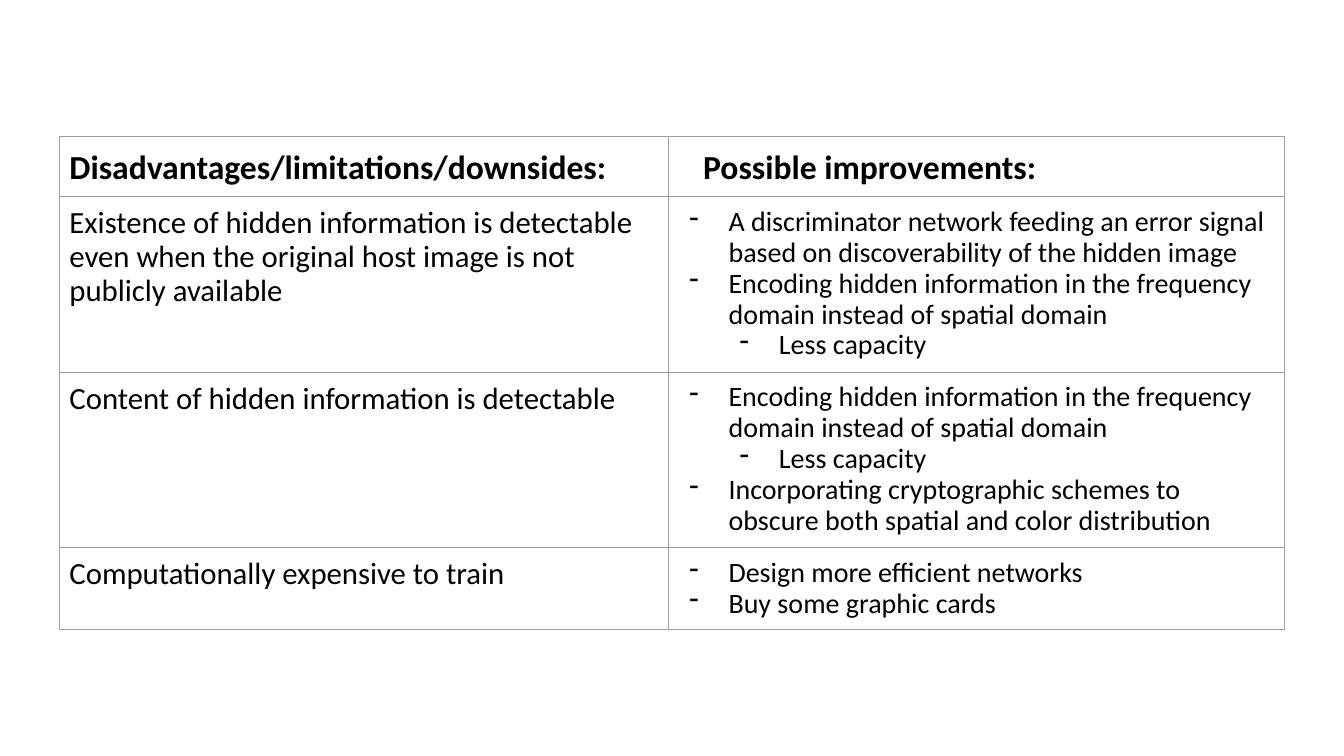
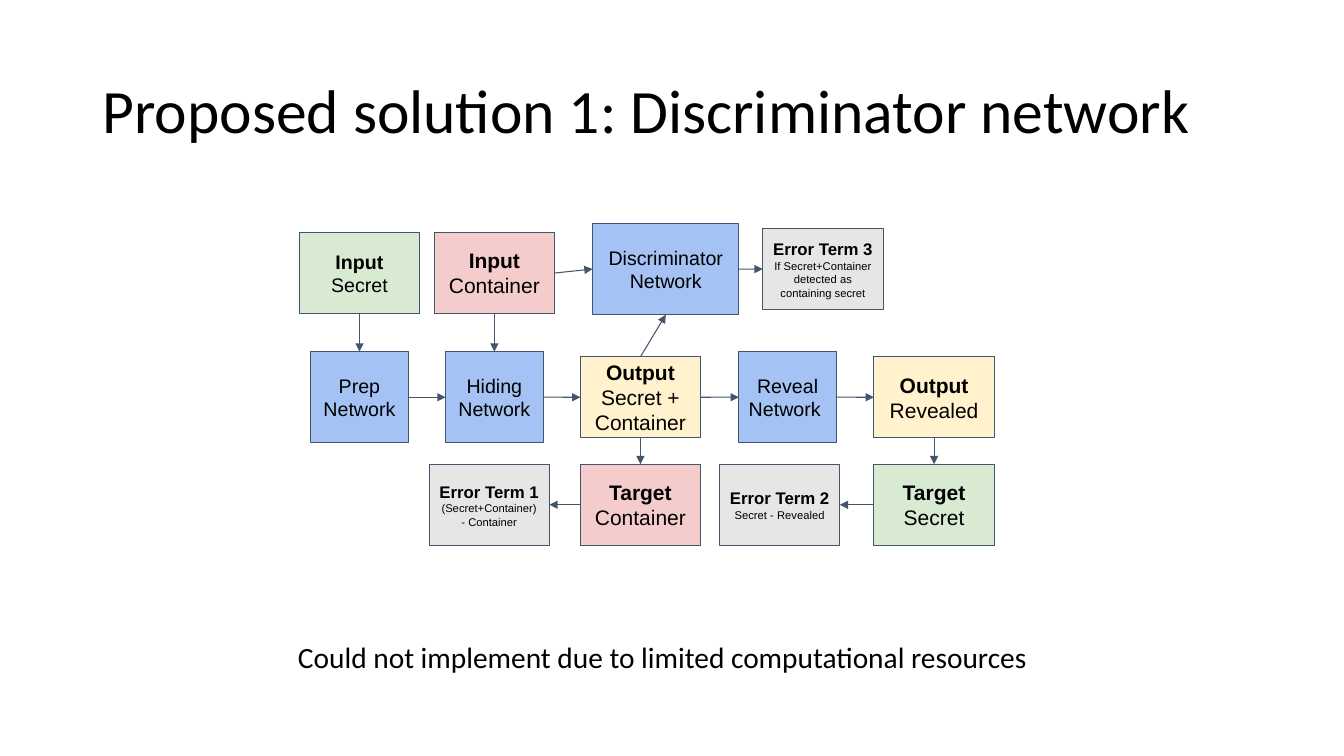
from lxml.etree import SubElement
from pptx import Presentation
from pptx.dml.color import RGBColor
from pptx.enum.shapes import MSO_CONNECTOR, MSO_SHAPE
from pptx.enum.text import MSO_ANCHOR, MSO_AUTO_SIZE, PP_ALIGN
from pptx.oxml.ns import qn
from pptx.util import Cm, Pt

COLORS = {
    "text": "000000",
    "border": "9E9E9E",
    "outline": "44546A",
    "secret": "D9EAD3",
    "container": "F4CCCC",
    "network": "A4C2F4",
    "output": "FFF2CC",
    "error": "E7E6E6",
}
BODY_FONT, DIAGRAM_FONT = "Calibri", "Arial"
INSET = Cm(0.25)
LINE_WIDTH = Pt(0.75)
TITLE_ONLY, BLANK = 5, 6
TOP, LEFT, BOTTOM, RIGHT = range(4)  # connection sites of a rectangle

# Table content: the left text, then (level, text) for each improvement
ROWS = [
    (4.42, "Existence of hidden information is detectable even when the original "
           "host image is not publicly available",
     [(0, "A discriminator network feeding an error signal based on "
          "discoverability of the hidden image"),
      (0, "Encoding hidden information in the frequency domain instead of spatial domain"),
      (1, "Less capacity")]),
    (4.42, "Content of hidden information is detectable",
     [(0, "Encoding hidden information in the frequency domain instead of spatial domain"),
      (1, "Less capacity"),
      (0, "Incorporating cryptographic schemes to obscure both spatial and color distribution")]),
    (2.05, "Computationally expensive to train",
     [(0, "Design more efficient networks"), (0, "Buy some graphic cards")]),
]

# Diagram grid: centres of columns and rows, in cm
SECRET_X, HOST_X, OUTPUT_X, REVEAL_X, REVEALED_X = 9.06, 12.46, 16.14, 19.85, 23.54
INPUT_Y, DISCRIMINATOR_Y, NETWORK_Y, TARGET_Y = 6.88, 6.78, 10.01, 12.72
DATA_SIZE, NETWORK_SIZE, WIDE_SIZE = (3.03, 2.04), (2.46, 2.3), (3.69, 2.3)

# name: (centre x, centre y, size, colour, paragraphs of (text, points, bold) runs)
BOXES = {
    "secret": (SECRET_X, INPUT_Y, DATA_SIZE, "secret",
               [[("Input", 14, True)], [("Secret", 14, False)]]),
    "host": (HOST_X, INPUT_Y, DATA_SIZE, "container",
             [[("Input", 15, True)], [("Container", 15, False)]]),
    "prep": (SECRET_X, NETWORK_Y, NETWORK_SIZE, "network",
             [[("Prep Network", 14, False)]]),
    "hiding": (HOST_X, NETWORK_Y, NETWORK_SIZE, "network",
               [[("Hiding Network", 14, False)]]),
    "output": (OUTPUT_X, NETWORK_Y, DATA_SIZE, "output",
               [[("Output ", 15, True), ("Secret + Container", 15, False)]]),
    "target host": (OUTPUT_X, TARGET_Y, DATA_SIZE, "container",
                    [[("Target", 15, True)], [("Container", 15, False)]]),
    "error 1": (12.33, TARGET_Y, DATA_SIZE, "error",
                [[("Error Term 1", 12, True)],
                 [("(Secret+Container) - Container", 8, False)]]),
    "reveal": (REVEAL_X, NETWORK_Y, NETWORK_SIZE, "network",
               [[("Reveal", 14, False)], [("Network", 14, False)]]),
    "revealed": (REVEALED_X, NETWORK_Y, DATA_SIZE, "output",
                 [[("Output ", 15, True), ("Revealed", 15, False)]]),
    "target secret": (REVEALED_X, TARGET_Y, DATA_SIZE, "secret",
                      [[("Target", 15, True)], [("Secret", 15, False)]]),
    "error 2": (19.65, TARGET_Y, DATA_SIZE, "error",
                [[("Error Term 2", 12, True)], [("Secret - Revealed", 8, False)]]),
    "discriminator": (16.78, DISCRIMINATOR_Y, WIDE_SIZE, "network",
                      [[("Discriminator Network", 14, False)]]),
    "error 3": (20.74, DISCRIMINATOR_Y, DATA_SIZE, "error",
                [[("Error Term 3", 12, True)],
                 [("If Secret+Container detected as containing secret", 8, False)]]),
}
ARROWS = [
    ("secret", BOTTOM, "prep", TOP),
    ("host", BOTTOM, "hiding", TOP),
    ("host", RIGHT, "discriminator", LEFT),
    ("prep", RIGHT, "hiding", LEFT),
    ("hiding", RIGHT, "output", LEFT),
    ("output", RIGHT, "reveal", LEFT),
    ("output", TOP, "discriminator", BOTTOM),
    ("output", BOTTOM, "target host", TOP),
    ("reveal", RIGHT, "revealed", LEFT),
    ("revealed", BOTTOM, "target secret", TOP),
    ("target host", LEFT, "error 1", RIGHT),
    ("target secret", LEFT, "error 2", RIGHT),
    ("discriminator", RIGHT, "error 3", LEFT),
]


def color(name):
    return RGBColor.from_string(COLORS[name])


def add_span(para, text, size, bold=False, font=BODY_FONT):
    span = para.add_run()
    span.text = text
    span.font.name = font
    span.font.size = Pt(size)
    span.font.bold = bold
    span.font.color.rgb = color("text")


def next_paragraph(frame, index):
    return frame.paragraphs[0] if index == 0 else frame.add_paragraph()


def set_insets(holder):
    """Give a cell or a text frame the same margin on each side."""
    holder.margin_left = holder.margin_right = INSET
    holder.margin_top = holder.margin_bottom = INSET


def indent(para, left, first_line):
    properties = para._p.get_or_add_pPr()
    properties.set("marL", str(Cm(left)))
    properties.set("indent", str(Cm(first_line)))
    return properties


def add_dash(para, level):
    """Make a dash bullet, one step further in for each level."""
    para.level = level
    properties = indent(para, 1.27 * (level + 1), -0.99)
    bullet_color = SubElement(properties, qn("a:buClr"))
    SubElement(bullet_color, qn("a:srgbClr"), val=COLORS["text"])
    SubElement(properties, qn("a:buChar"), char="-")


def style_cell(cell):
    set_insets(cell)
    cell.fill.background()
    properties = cell._tc.get_or_add_tcPr()
    for position, side in enumerate(("lnL", "lnR", "lnT", "lnB")):
        border = SubElement(properties, qn(f"a:{side}"), w=str(LINE_WIDTH))
        fill = SubElement(border, qn("a:solidFill"))
        SubElement(fill, qn("a:srgbClr"), val=COLORS["border"])
        properties.insert(position, border)


def fill_cell(cell, text, size, bold=False):
    para = cell.text_frame.paragraphs[0]
    para.line_spacing = 0.9
    add_span(para, text, size, bold)
    return para


def fill_list(cell, items):
    for index, (level, text) in enumerate(items):
        para = next_paragraph(cell.text_frame, index)
        para.line_spacing = 0.9
        add_dash(para, level)
        add_span(para, text, 20)


def add_comparison(page):
    widths, heights = (15.34, 15.54), [1.53] + [row[0] for row in ROWS]
    table = page.shapes.add_table(len(heights), len(widths), Cm(1.5), Cm(3.43),
                                  Cm(sum(widths)), Cm(sum(heights))).table
    table.first_row = table.horz_banding = False
    for column, width in zip(table.columns, widths):
        column.width = Cm(width)
    for row, height in zip(table.rows, heights):
        row.height = Cm(height)
    for cell in table.iter_cells():
        style_cell(cell)

    fill_cell(table.cell(0, 0), "Disadvantages/limitations/downsides:", 24, True)
    heading = fill_cell(table.cell(0, 1), "Possible improvements:", 24, True)
    indent(heading, 1.27, -0.64)
    for cell in table.rows[0].cells:
        cell.vertical_anchor = MSO_ANCHOR.BOTTOM
    for index, (_, downside, improvements) in enumerate(ROWS, start=1):
        fill_cell(table.cell(index, 0), downside, 22)
        fill_list(table.cell(index, 1), improvements)


def add_title(page, text):
    title = page.shapes.title
    title.left, title.top, title.width, title.height = Cm(2.33), Cm(1.01), Cm(29.21), Cm(3.68)
    title.text_frame.vertical_anchor = MSO_ANCHOR.MIDDLE
    para = title.text_frame.paragraphs[0]
    para.alignment = PP_ALIGN.LEFT
    para.line_spacing = 0.9
    add_span(para, text, 44)


def add_box(page, center_x, center_y, size, fill, paragraphs):
    width, height = size
    box = page.shapes.add_shape(MSO_SHAPE.RECTANGLE, Cm(center_x - width / 2),
                                Cm(center_y - height / 2), Cm(width), Cm(height))
    box.shadow.inherit = False
    box.fill.solid()
    box.fill.fore_color.rgb = color(fill)
    box.line.color.rgb = color("outline")
    box.line.width = LINE_WIDTH
    frame = box.text_frame
    frame.word_wrap = True
    frame.vertical_anchor = MSO_ANCHOR.MIDDLE
    set_insets(frame)
    for index, spans in enumerate(paragraphs):
        para = next_paragraph(frame, index)
        para.alignment = PP_ALIGN.CENTER
        for text, points, bold in spans:
            add_span(para, text, points, bold, DIAGRAM_FONT)
    return box


def add_arrow(page, start, start_site, end, end_site):
    arrow = page.shapes.add_connector(MSO_CONNECTOR.STRAIGHT, 0, 0, 0, 0)
    arrow.begin_connect(start, start_site)
    arrow.end_connect(end, end_site)
    arrow.line.color.rgb = color("outline")
    arrow.line.width = LINE_WIDTH
    SubElement(arrow.line._get_or_add_ln(), qn("a:tailEnd"), type="triangle")
    SubElement(arrow._element.spPr, qn("a:effectLst"))


def add_diagram(page):
    boxes = {name: add_box(page, *values) for name, values in BOXES.items()}
    boxes["reveal"].text_frame.paragraphs[1].alignment = PP_ALIGN.LEFT
    for start, start_site, end, end_site in ARROWS:
        add_arrow(page, boxes[start], start_site, boxes[end], end_site)


def add_remark(page, text):
    frame = page.shapes.add_textbox(Cm(7.26), Cm(15.85), Cm(19.35), Cm(1.42)).text_frame
    frame.word_wrap = True
    frame.auto_size = MSO_AUTO_SIZE.SHAPE_TO_FIT_TEXT
    set_insets(frame)
    add_span(frame.paragraphs[0], text, 21)


def main():
    deck = Presentation()
    deck.slide_width, deck.slide_height = Cm(33.87), Cm(19.05)

    page = deck.slides.add_slide(deck.slide_layouts[BLANK])
    add_comparison(page)

    page = deck.slides.add_slide(deck.slide_layouts[TITLE_ONLY])
    add_title(page, "Proposed solution 1: Discriminator network")
    add_diagram(page)
    add_remark(page, "Could not implement due to limited computational resources")

    deck.save("out.pptx")


if __name__ == "__main__":
    main()
